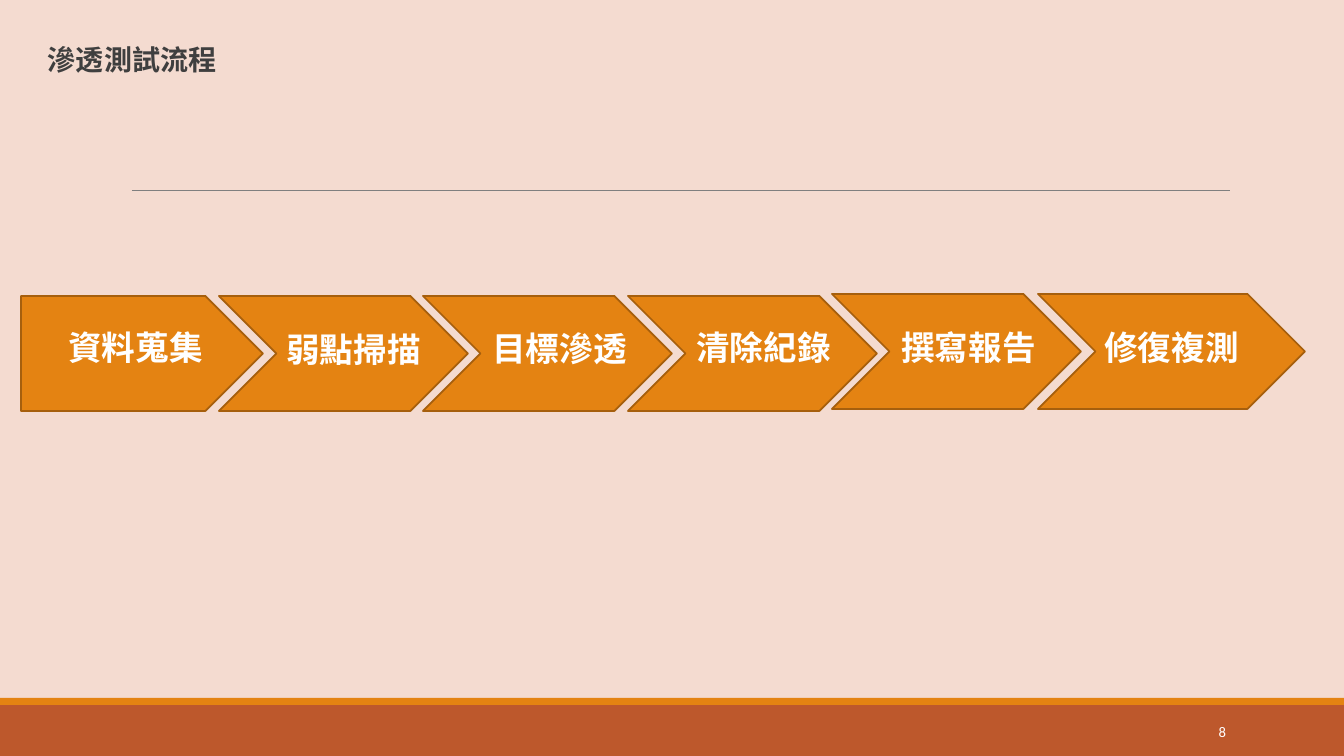
from pptx import Presentation
from pptx.dml.color import RGBColor
from pptx.enum.shapes import MSO_CONNECTOR as CONN, MSO_SHAPE as SHAPE
from pptx.enum.text import MSO_ANCHOR as ANCHOR, PP_ALIGN as ALIGN
from pptx.oxml.ns import qn
from pptx.util import Pt
from lxml.etree import SubElement

SCALE = 914400 / 100.8  # EMU per px
W, H = 1344, 756
FONT = "Calibri"
COLORS = {
    "background": "F4DBD0", "rule": "7F7F7F", "footer": "BD582C",
    "orange": "E48312", "outline": "A65F0D", "title": "3F3F3F",
    "white": "FFFFFF",
}
# Name, arrow left, top and width, label left and top, within the flow box
STEPS = [
    ("資料蒐集", 0, 2, 242, 0, 32),
    ("弱點掃描", 198, 2, 249, 218, 34),
    ("目標滲透", 402, 2, 249, 424, 33),
    ("清除紀錄", 607, 2, 249, 628, 32),
    ("撰寫報告", 811, 0, 249, 833, 32),
    ("修復複測", 1017, 0, 267, 1036, 32),
]


def px(*values):
    return [round(v * SCALE) for v in values]


def color(name):
    return RGBColor.from_string(COLORS[name])


def add_text(s, text, x, y, w, h, size=24, fill="white", bold=True,
             align=ALIGN.LEFT, anchor=ANCHOR.TOP, spacing=0.9):
    tf = s.shapes.add_textbox(*px(x, y, w, h)).text_frame
    tf.word_wrap = True
    tf.vertical_anchor = anchor
    p = tf.paragraphs[0]
    p.alignment = align
    p.line_spacing = spacing
    r = p.add_run()
    r.text = text
    r.font.name = FONT
    r.font.size = Pt(size)
    r.font.bold = bold
    r.font.color.rgb = color(fill)


def add_block(s, kind, x, y, w, h, fill, line=None):
    sp = s.shapes.add_shape(kind, *px(x, y, w, h))
    sp.shadow.inherit = False
    sp.fill.solid()
    sp.fill.fore_color.rgb = color(fill)
    if line:
        sp.line.color.rgb = color(line)
        sp.line.width = Pt(1.25)
    else:
        sp.line.fill.background()


def add_header(s, x, y, w):
    # Title and the rule below it
    add_text(s, "滲透測試流程", x, y, w, 51, size=20, fill="title")
    rule = s.shapes.add_connector(
        CONN.STRAIGHT, *px(x + 94, y + 150, x + 1192, y + 150))
    rule.line.color.rgb = color("rule")
    rule.line.width = Pt(0.75)
    SubElement(rule._element.spPr, qn("a:effectLst"))


def add_flow(s, x, y, h):
    # Arrows first, labels on top
    for i, (_, left, top, width, _, _) in enumerate(STEPS):
        kind = SHAPE.CHEVRON if i else SHAPE.PENTAGON
        add_block(s, kind, x + left, y + top, width, h, "orange", "outline")
    for name, _, _, _, left, top in STEPS:
        add_text(s, name, x + left, y + top, 229, 51, align=ALIGN.CENTER)


def add_footer(s, x, y, w, h):
    # Band, accent strip and page number
    strip = 7
    add_block(s, SHAPE.RECTANGLE, x, y + strip, w, h - strip, "footer")
    add_block(s, SHAPE.RECTANGLE, x, y, w, strip, "orange")
    add_text(s, "8", x + 1092, y + 14, 144, 40, size=10.5, bold=False,
             align=ALIGN.RIGHT, anchor=ANCHOR.MIDDLE, spacing=1.0)


def main():
    prs = Presentation()
    prs.slide_width, prs.slide_height = px(W, H)
    s = prs.slides.add_slide(prs.slide_layouts[6])
    s.background.fill.solid()
    s.background.fill.fore_color.rgb = color("background")
    add_header(s, 38, 41, 1109)
    add_flow(s, 21, 294, 115)
    add_footer(s, 0, 698, W, 58)
    prs.save("out.pptx")


if __name__ == "__main__":
    main()
